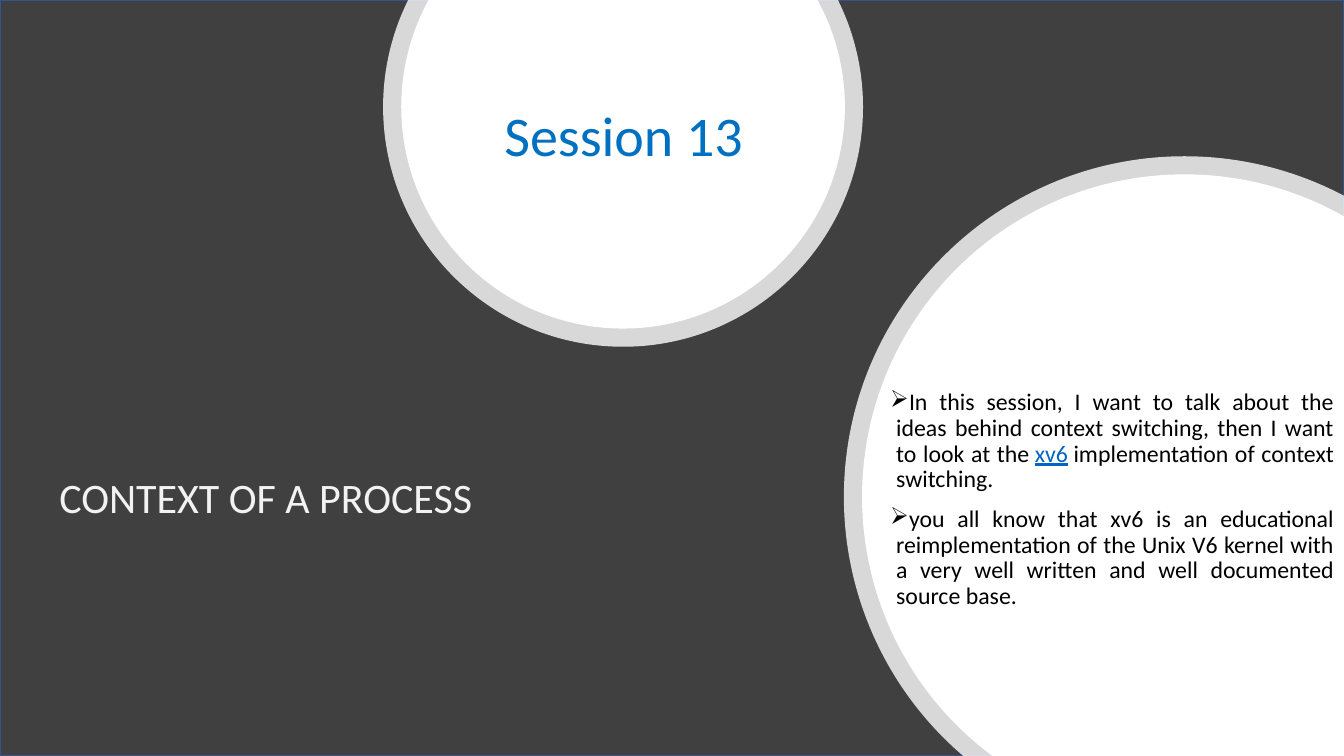
from math import acos, asin, cos, degrees, radians, sin, tan

from pptx import Presentation
from pptx.dml.color import RGBColor
from pptx.enum.shapes import MSO_SHAPE
from pptx.enum.text import MSO_ANCHOR as Anchor, PP_ALIGN as Align
from pptx.oxml.ns import qn
from pptx.oxml.xmlchemy import OxmlElement
from pptx.util import Inches, Pt

WIDTH, HEIGHT = 13.33, 7.5
FONT = "Calibri"
RING = 0.18
COLORS = {
    "background": "404040",
    "border": "325491",
    "circle": "FFFFFF",
    "heading": "F2F2F2",
    "session": "0070C0",
    "body": "000000",
    "term": "0563C1",
}
POINTS = [
    [
        ("In this session, I want to talk about the ideas behind context "
         "switching, then I want to look at the\u00a0", "body"),
        ("xv6", "term"),
        ("\u00a0implementation of context switching.", "body"),
    ],
    [
        ("you all know that xv6 is an educational reimplementation of the Unix "
         "V6 kernel with a very well written and well documented source base.", "body"),
    ],
]


def color(name):
    return RGBColor.from_string(COLORS[name])


def add_background(slide):
    shape = slide.shapes.add_shape(
        MSO_SHAPE.RECTANGLE, 0, 0, Inches(WIDTH), Inches(HEIGHT))
    shape.shadow.inherit = False
    shape.fill.solid()
    shape.fill.fore_color.rgb = color("background")
    shape.line.color.rgb = color("border")
    shape.line.width = Pt(1)


def top_angles(center_x, center_y, radius):
    """Return the arc that stays below the slide's top edge."""
    overhang = degrees(asin(center_y / radius))
    return [-overhang, 0, 90, 180, 180 + overhang]


def corner_angles(center_x, center_y, radius):
    """Return the arc from the slide's bottom edge to its right edge."""
    bottom = degrees(asin((HEIGHT - center_y) / radius))
    right = degrees(acos((WIDTH - center_x) / radius))
    return [180 - bottom, 180, 270, 360 - right]


def arc_points(center_x, center_y, radius, angles):
    """Return the start, then three Bezier points for each step of the arc."""
    def place(angle, shift=0):
        x = center_x + radius * (cos(angle) - shift * sin(angle))
        y = center_y + radius * (sin(angle) + shift * cos(angle))
        return Inches(x), Inches(y)

    turns = [radians(angle) for angle in angles]
    points = [place(turns[0])]
    for start, end in zip(turns, turns[1:]):
        handle = 4 / 3 * tan((end - start) / 4)
        points += [place(start, handle), place(end, -handle), place(end)]
    return points


def curve_outline(shape, step_count):
    """Turn the first line segments, three by three, into Bezier curves."""
    outline = next(shape.element.iter(qn("a:path")))
    lines = outline.findall(qn("a:lnTo"))[:3 * step_count]
    for first in range(0, len(lines), 3):
        curve = OxmlElement("a:cubicBezTo")
        lines[first].addprevious(curve)
        for line in lines[first:first + 3]:
            curve.append(line[0])
            outline.remove(line)


def add_disc(slide, center_x, center_y, radius, find_angles, corners, opacity=100):
    angles = find_angles(center_x, center_y, radius)
    points = arc_points(center_x, center_y, radius, angles)
    points += [(Inches(x), Inches(y)) for x, y in corners]
    builder = slide.shapes.build_freeform(*points[0])
    builder.add_line_segments(points[1:], close=True)
    shape = builder.convert_to_shape()
    curve_outline(shape, len(angles) - 1)
    shape.shadow.inherit = False
    shape.fill.solid()
    shape.fill.fore_color.rgb = color("circle")
    shape.line.fill.background()
    if opacity < 100:
        alpha = OxmlElement("a:alpha")
        alpha.set("val", str(opacity * 1000))
        shape.element.spPr.find(qn("a:solidFill"))[0].append(alpha)


def add_ringed_disc(slide, center_x, center_y, radius, find_angles, corners=()):
    add_disc(slide, center_x, center_y, radius, find_angles, corners, opacity=80)
    add_disc(slide, center_x, center_y, radius - RING, find_angles, corners)


def add_text_frame(slide, box):
    text_frame = slide.shapes.add_textbox(*map(Inches, box)).text_frame
    text_frame.word_wrap = True
    text_frame.vertical_anchor = Anchor.MIDDLE
    return text_frame


def format_run(run, size, color_name):
    run.font.name = FONT
    run.font.size = Pt(size)
    run.font.color.rgb = color(color_name)


def add_heading(slide, box, text, size, color_name, align):
    paragraph = add_text_frame(slide, box).paragraphs[0]
    paragraph.text = text
    paragraph.alignment = align
    paragraph.line_spacing = 0.9
    format_run(paragraph.runs[0], size, color_name)


def add_bullet(paragraph):
    properties = paragraph._p.get_or_add_pPr()
    properties.set("marL", str(Inches(0.06)))
    properties.set("indent", str(Inches(-0.31)))
    bullet = OxmlElement("a:buChar")
    bullet.set("char", "➢")
    properties.append(bullet)


def add_points(slide, box):
    text_frame = add_text_frame(slide, box)
    for index, pieces in enumerate(POINTS):
        paragraph = text_frame.add_paragraph() if index else text_frame.paragraphs[0]
        add_bullet(paragraph)
        paragraph.alignment = Align.JUSTIFY
        paragraph.line_spacing = 0.9
        if index < len(POINTS) - 1:
            paragraph.space_after = Pt(10)
        for text, color_name in pieces:
            run = paragraph.add_run()
            run.text = text
            format_run(run, 17, color_name)
            if color_name == "term":
                run.font.underline = True


def build_title_slide(presentation):
    slide = presentation.slides.add_slide(presentation.slide_layouts[6])
    add_background(slide)
    add_heading(slide, (0.49, 4.27, 6.62, 1.38), "CONTEXT OF A PROCESS",
                30, "heading", Align.LEFT)
    add_ringed_disc(slide, 6.18, 1.06, 2.38, top_angles)
    add_heading(slide, (4.61, 0.39, 3.15, 1.96), "Session 13",
                40, "session", Align.CENTER)
    add_ringed_disc(slide, 11.75, 4.93, 3.38, corner_angles, [(WIDTH, HEIGHT)])
    add_points(slide, (8.73, 3.44, 4.6, 3.04))


def main():
    presentation = Presentation()
    presentation.slide_width = Inches(WIDTH)
    presentation.slide_height = Inches(HEIGHT)
    build_title_slide(presentation)
    presentation.save("out.pptx")


if __name__ == "__main__":
    main()
